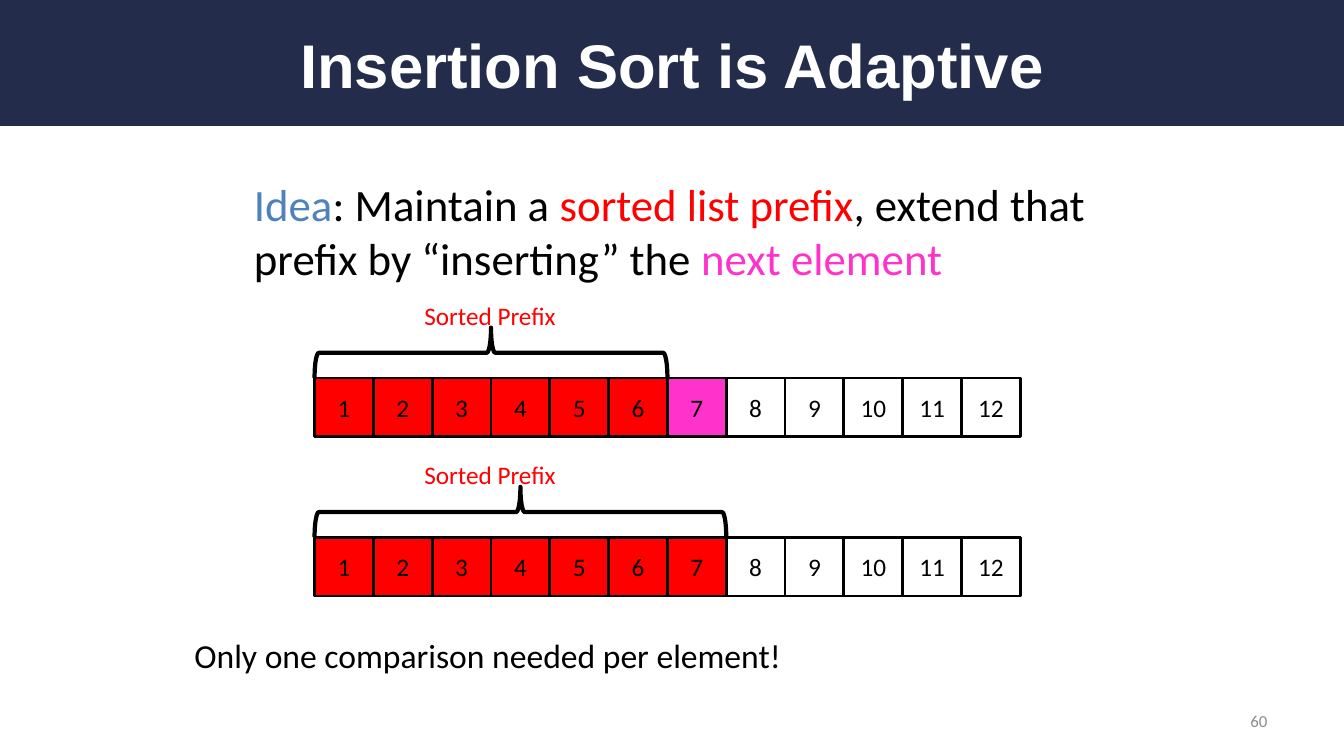
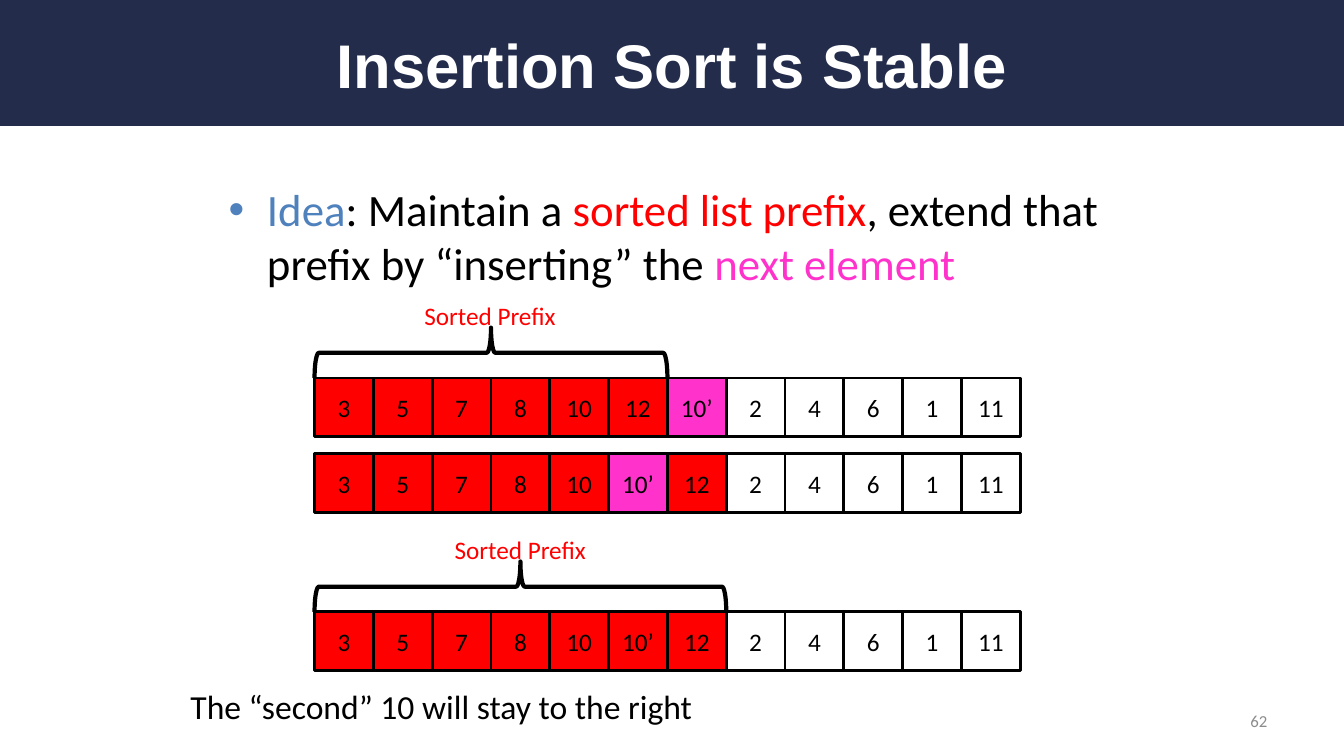
"""Build two slides on properties of insertion sort."""
from dataclasses import dataclass
from typing import Any, Optional

import lxml.etree
import pptx
import pptx.dml.color
import pptx.enum.shapes
import pptx.enum.text
import pptx.oxml.ns
import pptx.util

Inches = pptx.util.Inches
Pt = pptx.util.Pt
RGBColor = pptx.dml.color.RGBColor
ALIGN = pptx.enum.text.PP_ALIGN
ANCHOR = pptx.enum.text.MSO_ANCHOR
SHAPE = pptx.enum.shapes.MSO_SHAPE

NAVY = RGBColor(0x23, 0x2D, 0x4B)
WHITE = RGBColor(0xFF, 0xFF, 0xFF)
BLACK = RGBColor(0, 0, 0)
RED = RGBColor(0xFF, 0, 0)
PINK = RGBColor(0xFF, 0x33, 0xCC)
BLUE = RGBColor(0x4F, 0x81, 0xBD)
GRAY = RGBColor(0x8C, 0x8C, 0x8C)

TITLE = {"name": "Arial", "size": Pt(44), "bold": True}
BODY = {"name": "Calibri", "size": Pt(32)}
CLOSE = {"name": "Calibri", "size": Pt(24)}
SMALL = {"name": "Calibri", "size": Pt(18)}
FOOT = {"name": "Calibri", "size": Pt(12)}

WIDTH = 13.33
LEFT = 3.12
CELL = 7 / 12
BRACE = 0.5
LIFT = 0.82

IDEA = (
    ("Idea", BLUE),
    (": Maintain a ", BLACK),
    ("sorted list prefix", RED),
    (", extend that prefix by “inserting” the ", BLACK),
    ("next element", PINK),
)


@dataclass(frozen=True)
class Row:
    """One state of the list; a label position adds the brace."""

    top: float
    keys: str
    sorted: int
    next: Optional[int] = None
    label: Optional[float] = None


@dataclass(frozen=True)
class Page:
    """The content of one slide."""

    title: str
    number: str
    idea: tuple[float, float]
    bullet: bool
    rows: tuple[Row, ...]
    close: str
    spot: tuple[float, float]


COUNT = "1 2 3 4 5 6 7 8 9 10 11 12"
MOVED = "3 5 7 8 10 10’ 12 2 4 6 1 11"
PAGES = (
    Page("Insertion Sort is Adaptive", "60", (2.42, 1.7), False,
         (Row(3.75, COUNT, 6, 6, 4.11),
          Row(5.33, COUNT, 7, None, 4.11)),
         "Only one comparison needed per element!", (1.83, 6.25)),
    Page("Insertion Sort is Stable", "62", (2.17, 1.75), True,
         (Row(3.75, "3 5 7 8 10 12 10’ 2 4 6 1 11", 6, 6, 4.11),
          Row(4.5, MOVED, 7, 5),
          Row(6.07, MOVED, 7, None, 4.41)),
         "The “second” 10 will stay to the right", (1.79, 6.76)),
)


def write(shape: Any, runs: tuple, form: dict, align: Any = ALIGN.LEFT,
          anchor: Any = ANCHOR.MIDDLE, bullet: bool = False) -> None:
    """Fill a shape with one paragraph of coloured runs."""
    frame = shape.text_frame
    layout = {"word_wrap": True, "vertical_anchor": anchor,
              "auto_size": pptx.enum.text.MSO_AUTO_SIZE.NONE}
    for key, value in layout.items():
        setattr(frame, key, value)
    para = frame.paragraphs[0]
    para.alignment = align
    if bullet:
        props = para._p.get_or_add_pPr()
        props.set("marL", str(Inches(0.38)))
        props.set("indent", str(Inches(-0.38)))
        qn = pptx.oxml.ns.qn
        lxml.etree.SubElement(props, qn("a:buFont")).set("typeface", "Arial")
        lxml.etree.SubElement(props, qn("a:buChar")).set("char", "•")
    for text, color in runs:
        run = para.add_run()
        run.text = text
        for key, value in form.items():
            setattr(run.font, key, value)
        run.font.color.rgb = color


def note(slide: Any, box: tuple, runs: tuple, form: dict, **style: Any) -> None:
    """Add a text box."""
    shape = slide.shapes.add_textbox(*map(Inches, box))
    write(shape, runs, form, **style)


def draw(shapes: Any, kind: Any, box: tuple, fill: Optional[RGBColor],
         line: float) -> Any:
    """Add a preset shape with a plain fill and a black outline."""
    shape = shapes.add_shape(kind, *map(Inches, box))
    shape.shadow.inherit = False
    if fill is None:
        shape.fill.background()
    else:
        shape.fill.solid()
        shape.fill.fore_color.rgb = fill
    if line:
        shape.line.color.rgb = BLACK
        shape.line.width = Pt(line)
    else:
        shape.line.fill.background()
    return shape


def add_row(slide: Any, row: Row) -> None:
    """Draw the cells of a list with its brace and label."""
    group = slide.shapes.add_group_shape()
    for i, key in enumerate(row.keys.split()):
        fill = PINK if i == row.next else RED if i < row.sorted else None
        box = (LEFT + i * CELL, row.top, CELL, CELL)
        cell = draw(group.shapes, SHAPE.RECTANGLE, box, fill, 2)
        for side in ("margin_left", "margin_right"):
            setattr(cell.text_frame, side, 0)
        write(cell, ((key, BLACK),), SMALL, ALIGN.CENTER)
    if row.label is None:
        return
    note(slide, (row.label, row.top - LIFT, 1.72, 0.4),
         (("Sorted Prefix", RED),), SMALL, anchor=ANCHOR.TOP)
    span = row.sorted * CELL
    box = (LEFT + (span - BRACE) / 2, row.top - (BRACE + span) / 2, BRACE, span)
    draw(slide.shapes, SHAPE.RIGHT_BRACE, box, None, 3).rotation = 270


def add_band(slide: Any) -> None:
    """Place the title band on the layout of the slide."""
    band = draw(slide.shapes, SHAPE.RECTANGLE, (0, 0, WIDTH, 1.25), NAVY, 0)
    band.element.nvSpPr.cNvPr.set("id", "20")
    slide.slide_layout.placeholders[0].element.addprevious(band.element)


def add_page(slide: Any, page: Page) -> None:
    """Fill one slide."""
    title = slide.shapes.title
    places = zip(("left", "top", "width", "height"), (0.67, 0.17, 12, 0.92))
    for key, value in places:
        setattr(title, key, Inches(value))
    write(title, ((page.title, WHITE),), TITLE, ALIGN.CENTER)
    note(slide, (*page.idea, 9, 1.17), IDEA, BODY, bullet=page.bullet)
    note(slide, (9.56, 6.95, 3.11, 0.4), ((page.number, GRAY),), FOOT,
         align=ALIGN.RIGHT)
    for row in page.rows:
        add_row(slide, row)
    note(slide, (*page.spot, 6.5, 0.5), ((page.close, BLACK),), CLOSE,
         anchor=ANCHOR.TOP)


def main() -> None:
    """Build and save the deck."""
    deck = pptx.Presentation()
    deck.slide_width = Inches(WIDTH)
    deck.slide_height = Inches(7.5)
    slides = [deck.slides.add_slide(deck.slide_layouts[5]) for _ in PAGES]
    add_band(slides[0])
    for slide, page in zip(slides, PAGES):
        add_page(slide, page)
    deck.save("out.pptx")


if __name__ == "__main__":
    main()
